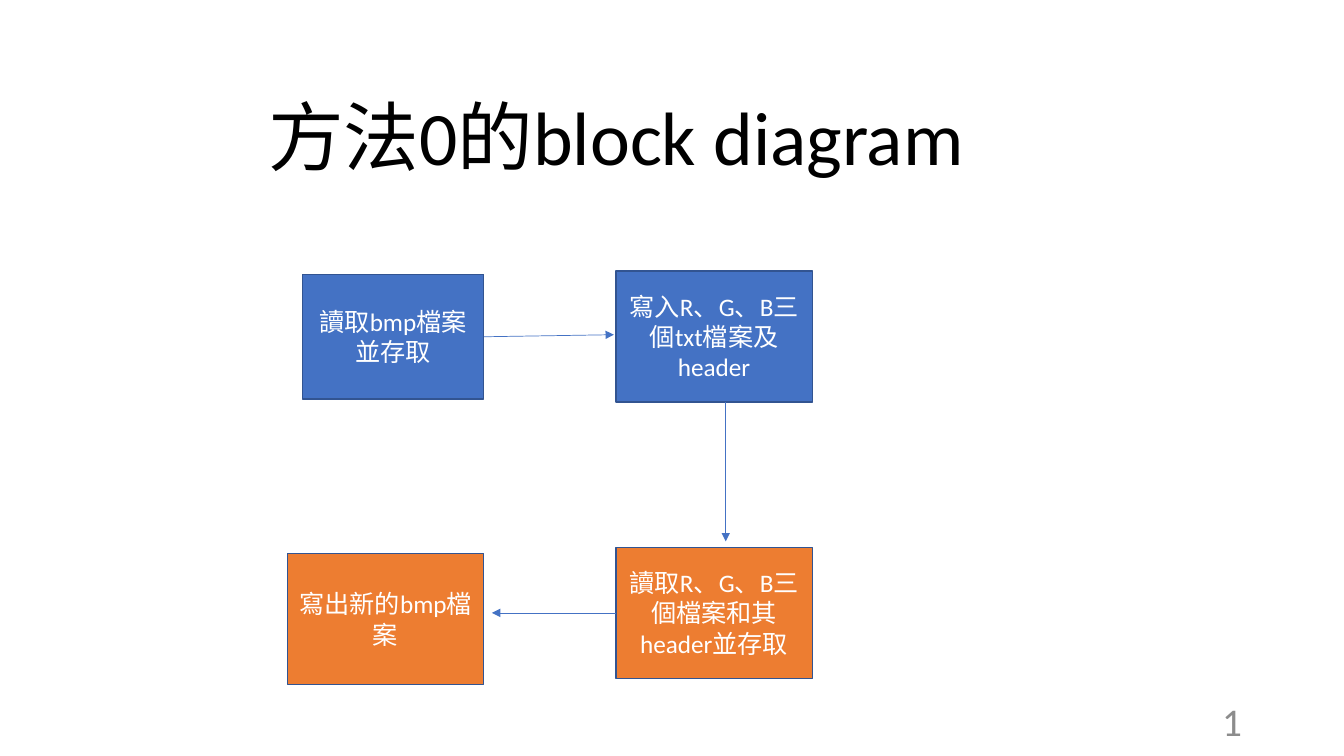
from lxml import etree
from pptx import Presentation
from pptx.dml.color import RGBColor
from pptx.enum.shapes import MSO_CONNECTOR, MSO_SHAPE
from pptx.enum.text import MSO_ANCHOR, PP_ALIGN
from pptx.oxml.ns import qn
from pptx.util import Pt

RECTANGLE = MSO_SHAPE.RECTANGLE
STRAIGHT = MSO_CONNECTOR.STRAIGHT
CENTER, RIGHT = PP_ALIGN.CENTER, PP_ALIGN.RIGHT
MIDDLE, BOTTOM = MSO_ANCHOR.MIDDLE, MSO_ANCHOR.BOTTOM
LEFT_SIDE, RIGHT_SIDE = 1, 3

COLOURS = {
    "black": "000000",
    "white": "FFFFFF",
    "grey": "8C8C8C",
    "blue": "4472C4",
    "orange": "ED7D31",
    "outline": "325491",
}
FONT = "Calibri"
BLOCK_WIDTH, BLOCK_HEIGHT = 140.4, 93.6
RIGHT_COLUMN = 234.7


def colour(name):
    return RGBColor.from_string(COLOURS[name])


def write_text(shape, text, size, colour_name, align, anchor, spacing=None):
    frame = shape.text_frame
    for name, value in {"word_wrap": True, "vertical_anchor": anchor}.items():
        setattr(frame, name, value)
    para = frame.paragraphs[0]
    for name, value in {"alignment": align, "line_spacing": spacing}.items():
        setattr(para, name, value)
    span = para.add_run()
    span.text = text
    for name, value in {"name": FONT, "size": Pt(size)}.items():
        setattr(span.font, name, value)
    span.font.color.rgb = colour(colour_name)


def add_label(page, box, *text_format):
    """Place one plain text box; text_format goes on to write_text."""
    write_text(page.shapes.add_textbox(*map(Pt, box)), *text_format)


def add_block(page, box, text, fill):
    block = page.shapes.add_shape(RECTANGLE, *map(Pt, box))
    block.shadow.inherit = False
    block.fill.solid()
    block.fill.fore_color.rgb = colour(fill)
    block.line.color.rgb = colour("outline")
    block.line.width = Pt(1)
    write_text(block, text, 18, "white", CENTER, MIDDLE)
    return block


def add_arrow(page, start, end):
    arrow = page.shapes.add_connector(STRAIGHT, *map(Pt, (*start, *end)))
    arrow.line.color.rgb = colour("blue")
    arrow.line.width = Pt(0.5)
    etree.SubElement(arrow.line._get_or_add_ln(), qn("a:tailEnd"), type="triangle")
    etree.SubElement(arrow._element.spPr, qn("a:effectLst"))
    return arrow


def add_block_diagram(page, box):
    """Four blocks, joined clockwise from the top left."""
    left, top, width, height = box

    def at(x, y):
        return left + x, top + y

    size = BLOCK_WIDTH, BLOCK_HEIGHT
    read = add_block(page, (*at(10.8, 2.2), 129.6, 89.3), "讀取bmp檔案並存取", "blue")
    add_block(page, (*at(RIGHT_COLUMN, 0), *size),
              "寫入R、G、B三個txt檔案及header", "blue")
    reload = add_block(page, (*at(RIGHT_COLUMN, 197.3), *size),
                       "讀取R、G、B三個檔案和其header並存取", "orange")
    add_block(page, (*at(0, height - BLOCK_HEIGHT), *size), "寫出新的bmp檔案", "orange")

    to_write = add_arrow(page, at(140.4, 46.8), at(233.3, 45.4))
    to_write.begin_connect(read, RIGHT_SIDE)
    add_arrow(page, at(313.2, BLOCK_HEIGHT), at(313.2, 193))
    to_output = add_arrow(page, at(RIGHT_COLUMN, 244.1), at(146.2, 244.1))
    to_output.begin_connect(reload, LEFT_SIDE)


def main():
    deck = Presentation()
    deck.slide_width, deck.slide_height = Pt(960), Pt(540)
    page = deck.slides.add_slide(deck.slide_layouts[6])
    add_label(page, (170, 73.4, 540, 59.8), "方法0的block diagram",
              54, "black", CENTER, BOTTOM, 0.9)
    add_block_diagram(page, (205.2, 193.7, 375.1, 295.2))
    add_label(page, (678.2, 500.4, 216, 28.8), "1", 28, "grey", RIGHT, MIDDLE)
    deck.save("out.pptx")


if __name__ == "__main__":
    main()
